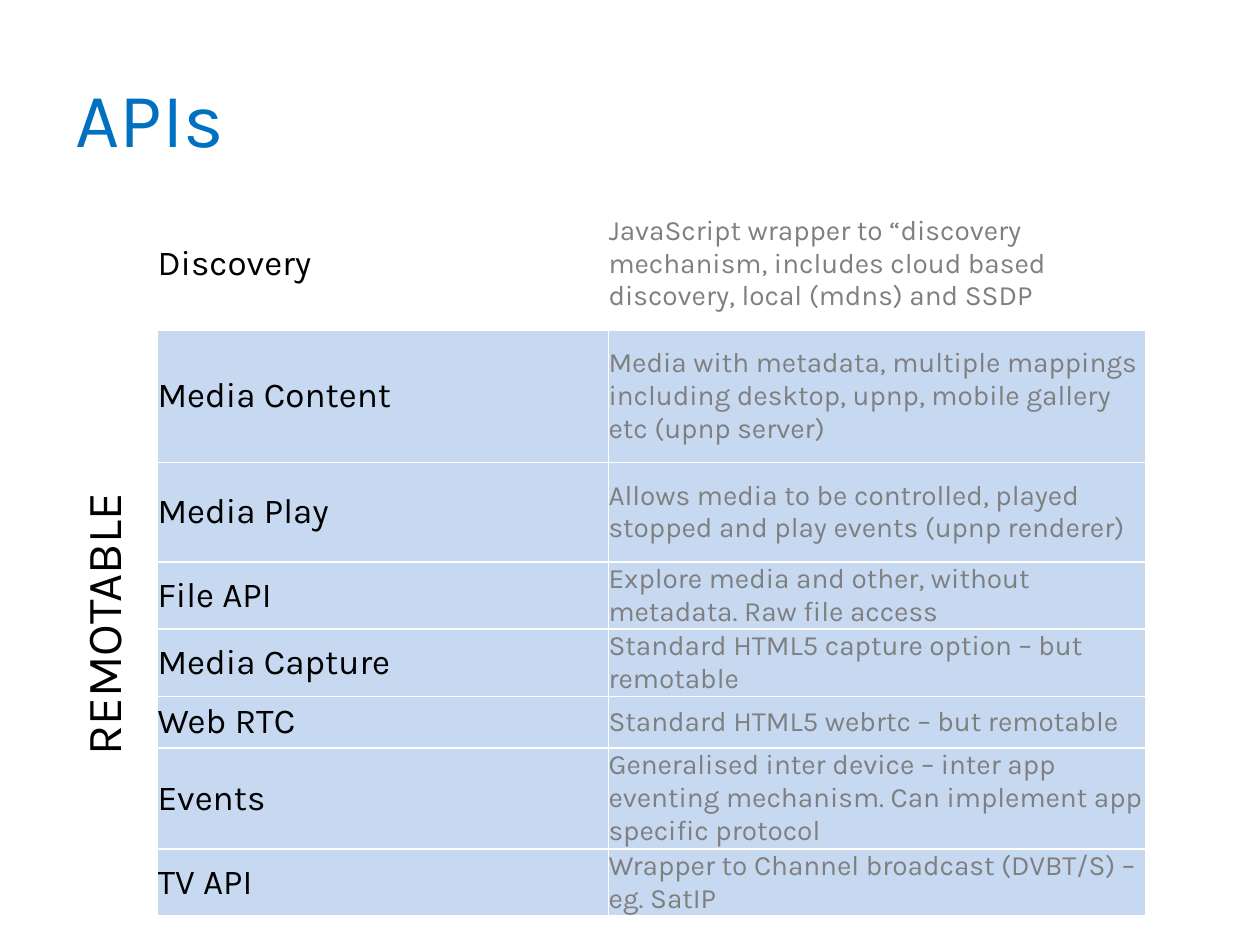
from pptx import Presentation
from pptx.dml.color import RGBColor
from pptx.enum.text import MSO_ANCHOR, PP_ALIGN
from pptx.oxml import parse_xml
from pptx.oxml.ns import nsdecls
from pptx.util import Inches, Pt

FONT = "Karla"
COLORS = {"title": "0070C0", "name": "000000", "detail": "7F7F7F",
          "plain": "FFFFFF", "remotable": "C6D9F1", "border": "FFFFFF"}
COL_WIDTHS = (3.58, 4.26)
APIS = [
    ("Discovery", "JavaScript wrapper to “discovery mechanism, includes cloud "
     "based discovery, local (mdns) and SSDP", 1.05),
    ("Media Content", "Media with metadata, multiple mappings including desktop, "
     "upnp, mobile gallery etc (upnp server)", 1.05),
    ("Media Play", "Allows media to be controlled, played stopped and play "
     "events (upnp renderer)", 0.79),
    ("File API", "Explore media and other, without metadata. Raw file access", 0.52),
    ("Media Capture", "Standard HTML5 capture option – but remotable", 0.52),
    ("Web RTC", "Standard HTML5 webrtc – but remotable", 0.41),
    ("Events", "Generalised inter device – inter app eventing mechanism. "
     "Can implement app specific protocol", 0.79),
    ("TV API", "Wrapper to Channel broadcast (DVBT/S) – eg. SatIP", 0.52),
]


def write(tf, text, size, color, align=PP_ALIGN.LEFT):
    """Put one styled paragraph into a text frame."""
    p = tf.paragraphs[0]
    p.text = text
    p.alignment = align
    p.font.name = FONT
    p.font.size = Pt(size)
    p.font.color.rgb = RGBColor.from_string(COLORS[color])


def add_label(s, box, text, size, color, align=PP_ALIGN.LEFT, rotation=0):
    """Add a text box with vertically centred text."""
    sp = s.shapes.add_textbox(*map(Inches, box))
    sp.rotation = rotation
    tf = sp.text_frame
    tf.word_wrap = True
    tf.vertical_anchor = MSO_ANCHOR.MIDDLE
    write(tf, text, size, color, align)


def add_borders(cell):
    """Draw a one-point line on every side of a cell."""
    tc_pr = cell._tc.get_or_add_tcPr()
    for i, side in enumerate(("lnL", "lnR", "lnT", "lnB")):
        tc_pr.insert(i, parse_xml(
            f'<a:{side} {nsdecls("a")} w="{Pt(1)}"><a:solidFill>'
            f'<a:srgbClr val="{COLORS["border"]}"/></a:solidFill></a:{side}>'))


def fill_cell(cell, text, size, color, fill):
    """Style a cell without margins and write its text."""
    cell.margin_left = cell.margin_right = cell.margin_top = cell.margin_bottom = 0
    cell.vertical_anchor = MSO_ANCHOR.MIDDLE
    cell.fill.solid()
    cell.fill.fore_color.rgb = RGBColor.from_string(COLORS[fill])
    add_borders(cell)
    write(cell.text_frame, text, size, color)


def add_api_table(s, left, top):
    """Add the table of API names and descriptions."""
    height = sum(api[2] for api in APIS)
    table = s.shapes.add_table(len(APIS), len(COL_WIDTHS), Inches(left), Inches(top),
                               Inches(sum(COL_WIDTHS)), Inches(height)).table
    table.first_row = table.horz_banding = False
    for column, width in zip(table.columns, COL_WIDTHS):
        column.width = Inches(width)
    for row, (name, detail, row_height) in zip(table.rows, APIS):
        row.height = Inches(row_height)
        fill = "plain" if name == "Discovery" else "remotable"
        fill_cell(row.cells[0], name, 20, "name", fill)
        fill_cell(row.cells[1], detail, 16, "detail", fill)


def main():
    """Build and save the slide."""
    prs = Presentation()
    prs.slide_width, prs.slide_height = Inches(10), Inches(7.5)
    s = prs.slides.add_slide(prs.slide_layouts[6])
    add_label(s, (0.5, 0.3, 6.83, 1.25), "APIs", 44, "title")
    add_api_table(s, 1.25, 1.57)
    add_label(s, (-0.57, 4.67, 2.75, 0.57), "REMOTABLE", 28, "name",
              PP_ALIGN.CENTER, 270)
    prs.save("out.pptx")


if __name__ == "__main__":
    main()
